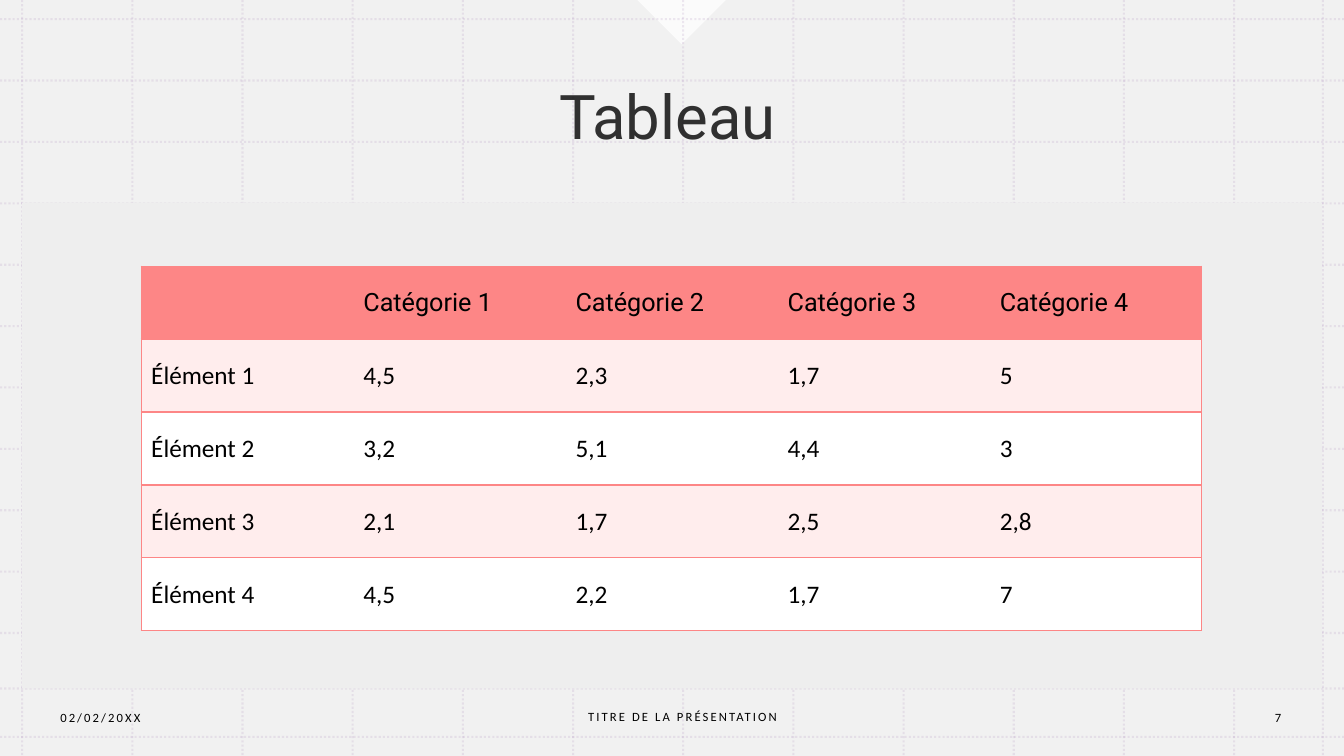
"""Build a slide with a five-column table on a dotted grid."""
from dataclasses import dataclass

from lxml import etree
from pptx import Presentation
from pptx.dml.color import RGBColor
from pptx.enum.dml import MSO_LINE
from pptx.enum.shapes import MSO_CONNECTOR, MSO_SHAPE
from pptx.enum.text import MSO_ANCHOR, PP_ALIGN
from pptx.oxml import parse_xml
from pptx.oxml.ns import nsdecls, qn
from pptx.util import Inches, Pt

LEFT, CENTER = PP_ALIGN.LEFT, PP_ALIGN.CENTER
MIDDLE = MSO_ANCHOR.MIDDLE
RECT, WEDGE = MSO_SHAPE.RECTANGLE, MSO_SHAPE.RIGHT_TRIANGLE
STRAIGHT = MSO_CONNECTOR.STRAIGHT
DOTS = MSO_LINE.ROUND_DOT
PLAIN = "{2D5ABB26-0587-4C30-8999-92F81FD0307C}"
WIDE, HIGH = 13.33, 7.5


@dataclass(frozen=True)
class Theme:
    """Colours, fonts and type sizes of the slide."""
    ink: str = "000000"
    paper: str = "FFFFFF"
    panel: str = "EEEEEE"
    grid: str = "B495C2"
    accent: str = "FD8686"
    tint: str = "FFEDED"
    head: str = "Roboto"
    body: str = "Calibri"
    title: int = 44
    cell: int = 18
    foot: int = 9


def apply(item, values):
    """Set each named value on the item."""
    for name, value in values.items():
        setattr(item, name, value)


def paint(fill, color, alpha=100):
    """Give a solid fill its colour and opacity."""
    fill.solid()
    fill.fore_color.rgb = RGBColor.from_string(color)
    if alpha < 100:
        tone = fill._xPr.find(qn("a:solidFill"))[0]
        etree.SubElement(tone, qn("a:alpha"), val=str(alpha * 1000))


class Board:
    """Hold the style and the current slide."""

    def __init__(self, slide, theme):
        """Keep the slide and theme."""
        self.shapes, self.theme = slide.shapes, theme

    def shape(self, kind, box, color, alpha=100, turn=0):
        """Add a filled shape without an outline."""
        form = self.shapes.add_shape(kind, *map(Inches, box))
        form.shadow.inherit = False
        form.rotation = turn
        form.line.fill.background()
        paint(form.fill, color, alpha)

    def line(self, *ends):
        """Add a faint dotted line."""
        rule = self.shapes.add_connector(STRAIGHT, *map(Inches, ends))
        apply(rule.line, {"width": Pt(1.5), "dash_style": DOTS})
        paint(rule.line.fill, self.theme.grid, 20)
        etree.SubElement(rule._element.spPr, qn("a:effectLst"))

    def label(self, frame, text, size, face, align=LEFT, alpha=100, gap=0, lead=1):
        """Put one styled run into a text frame."""
        part = frame.paragraphs[0]
        apply(part, {"alignment": align, "line_spacing": lead})
        run = part.add_run()
        run.text = text
        apply(run.font, {"size": Pt(size), "name": face})
        paint(run.font.fill, self.theme.ink, alpha)
        if gap:
            run.font._element.set("spc", str(gap))

    def text(self, box, text, size, face, **style):
        """Add a text box centred on its height."""
        frame = self.shapes.add_textbox(*map(Inches, box)).text_frame
        apply(frame, {"word_wrap": True, "vertical_anchor": MIDDLE})
        self.label(frame, text, size, face, **style)

    def edge(self, cell, sides):
        """Draw accent borders on the named sides of a cell."""
        for spot, side in enumerate(sides):
            cell._tc.tcPr.insert(spot, parse_xml(
                f'<a:ln{side} {nsdecls("a")} w="12700"><a:solidFill>'
                f'<a:srgbClr val="{self.theme.accent}"/></a:solidFill></a:ln{side}>'))

    def table(self, box, rows):
        """Add a table with a header and striped rows."""
        theme, last = self.theme, len(rows[0]) - 1
        grid = self.shapes.add_table(len(rows), last + 1, *map(Inches, box)).table
        apply(grid, {"first_row": False, "horz_banding": False})
        grid._tbl.tblPr.find(qn("a:tableStyleId")).text = PLAIN
        for r, row in enumerate(rows):
            fill = (theme.tint if r % 2 else theme.paper) if r else theme.accent
            face = theme.body if r else theme.head
            for c, text in enumerate(row):
                cell = grid.cell(r, c)
                cell.vertical_anchor = MIDDLE
                paint(cell.fill, fill)
                self.edge(cell, ["L"] * (c == 0) + ["R"] * (c == last) + ["T", "B"])
                if text:
                    self.label(cell.text_frame, text, theme.cell, face)


def spread(first, last, count):
    """Return evenly spaced places."""
    return [first + (last - first) * i / (count - 1) for i in range(count)]


def main():
    """Build and save the slide."""
    deck = Presentation()
    apply(deck, {"slide_width": Inches(WIDE), "slide_height": Inches(HIGH)})
    theme = Theme()
    slide = deck.slides.add_slide(deck.slide_layouts[6])
    paint(slide.background.fill, theme.paper)
    board = Board(slide, theme)

    board.shape(RECT, (0, 0, WIDE, HIGH), theme.panel, 80)
    board.shape(WEDGE, (6.45, -0.31, 0.62, 0.62), theme.paper, 75, 315)
    for x in spread(0.22, 12.24, 12) + [13.12]:
        board.line(x, 0, x, HIGH)
    for y in spread(0.19, 6.28, 11) + [6.83, 7.31]:
        board.line(0, y, WIDE, y)
    board.shape(RECT, (0.22, 2.01, 12.89, 4.82), theme.panel)

    board.text((0.33, 0.37, 12.58, 1.64), "Tableau", theme.title, theme.head,
               align=CENTER, alpha=80, lead=0.9)
    board.table((1.4, 2.64, 10.52, 3.62), [
        ["", "Catégorie 1", "Catégorie 2", "Catégorie 3", "Catégorie 4"],
        ["Élément 1", "4,5", "2,3", "1,7", "5"],
        ["Élément 2", "3,2", "5,1", "4,4", "3"],
        ["Élément 3", "2,1", "1,7", "2,5", "2,8"],
        ["Élément 4", "4,5", "2,2", "1,7", "7"],
    ])
    for left, top, width, text, align in [
        (0.5, 6.92, 2.8, "02/02/20XX", LEFT),
        (4.59, 6.91, 4.36, "TITRE DE LA PRÉSENTATION", CENTER),
        (12.24, 6.92, 0.87, "7", CENTER),
    ]:
        board.text((left, top, width, 0.4), text, theme.foot, theme.body,
                   align=align, gap=150)
    deck.save("out.pptx")


if __name__ == "__main__":
    main()
